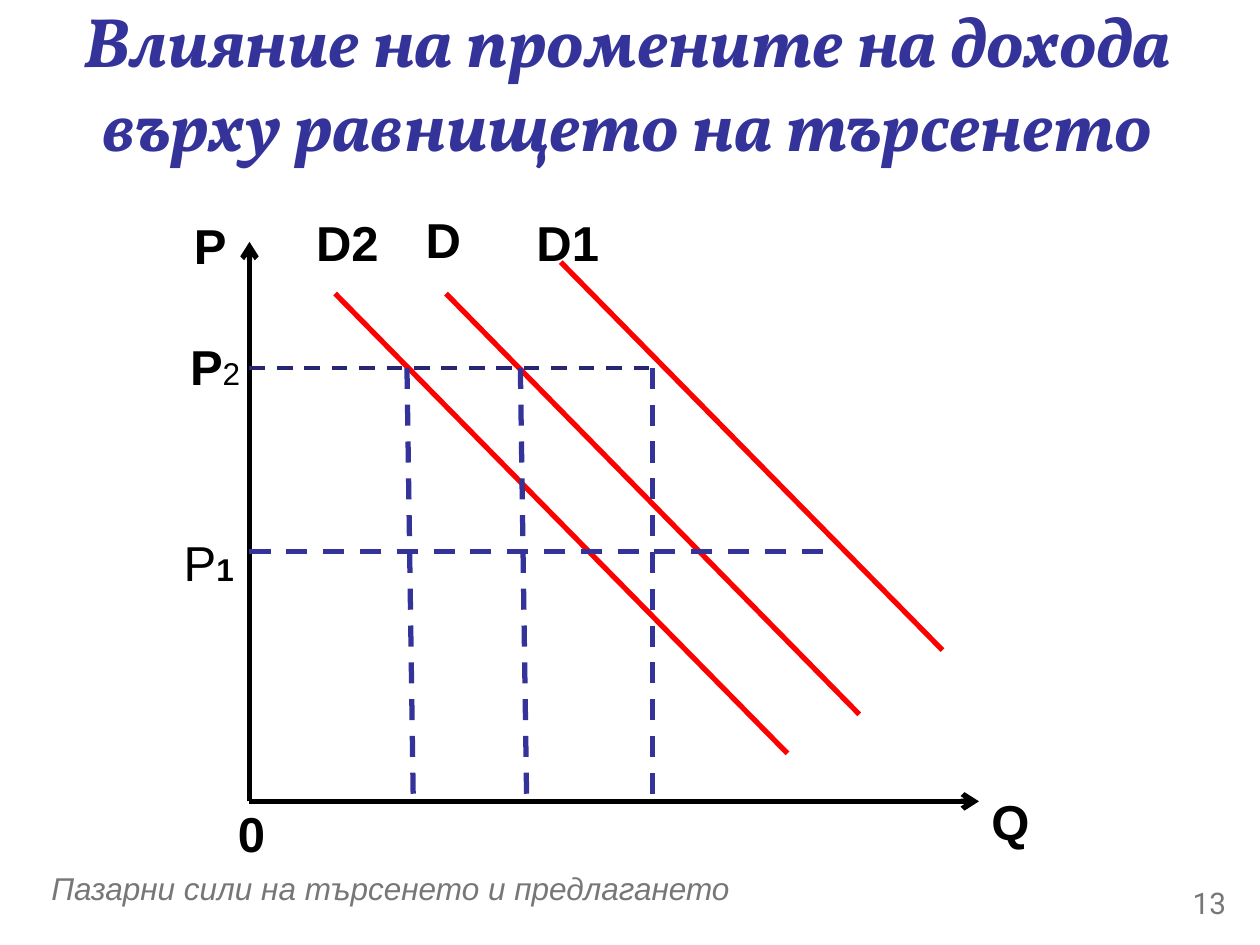
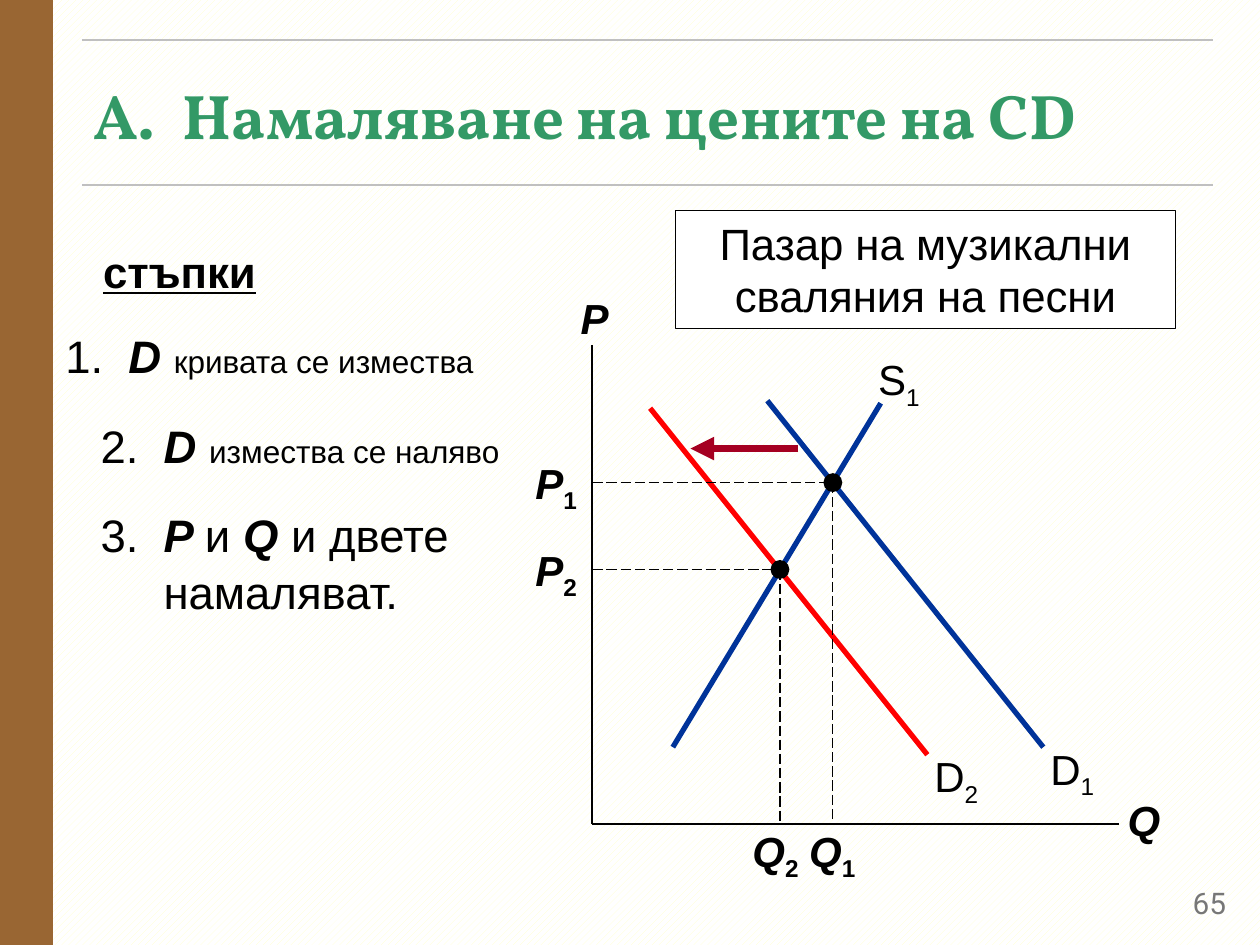
import pptx
import pptx.util
import pptx.dml.color
import pptx.enum.dml
import pptx.enum.shapes
import pptx.enum.text
from lxml import etree

Inches = pptx.util.Inches
Pt = pptx.util.Pt
ALIGN = pptx.enum.text.PP_ALIGN
DASH = pptx.enum.dml.MSO_LINE
SHAPE = pptx.enum.shapes.MSO_SHAPE
COLORS = {
    name: pptx.dml.color.RGBColor.from_string(value)
    for name, value in {
        "black": "000000", "white": "FFFFFF", "grey": "777777", "rule": "C0C0C0",
        "indigo": "333399", "dark indigo": "262673", "red": "FF0000",
        "green": "339966", "brown": "996633", "cream": "FFFFCC",
        "blue": "003399", "crimson": "A50021",
    }.items()
}
BOLD = {"bold": True}
PLAIN = {"bold": False, "italic": False}
STRONG = {"bold": True, "italic": True}
SUBSCRIPT = {"baseline": -25000}


def write(shape, runs, size, color="black", font="Arial", align=ALIGN.LEFT,
          middle=False, hang=0, inset=None, spacing=None, **style):
    """Fill a shape with one paragraph; runs are (text, own font settings) pairs."""
    frame = shape.text_frame
    frame.word_wrap = True
    frame.auto_size = pptx.enum.text.MSO_AUTO_SIZE.NONE
    anchors = pptx.enum.text.MSO_ANCHOR
    frame.vertical_anchor = anchors.MIDDLE if middle else anchors.TOP
    if inset is not None:
        frame.margin_left = frame.margin_right = Inches(inset)
        frame.margin_top = frame.margin_bottom = Inches(inset)
    paragraph = frame.paragraphs[0]
    paragraph.alignment = align
    if spacing:
        paragraph.line_spacing = spacing
    if hang:
        properties = paragraph._p.get_or_add_pPr()
        properties.set("marL", str(Inches(hang)))
        properties.set("indent", str(-Inches(hang)))
    paragraph.font.size = Pt(size)
    paragraph.font.name = font
    paragraph.font.color.rgb = COLORS[color]
    for key, value in style.items():
        setattr(paragraph.font, key, value)
    for text, own in runs:
        run = paragraph.add_run()
        run.text = text
        for key, value in own.items():
            if key == "baseline":
                run._r.get_or_add_rPr().set(key, str(value))
            else:
                setattr(run.font, key, value)


def draw_line(slide, start, end, color, width, dash=None, head=None):
    line = slide.shapes.add_connector(
        pptx.enum.shapes.MSO_CONNECTOR.STRAIGHT, *map(Inches, start + end))
    line.line.color.rgb = COLORS[color]
    line.line.width = Pt(width)
    if dash:
        line.line.dash_style = dash
    main = "{http://schemas.openxmlformats.org/drawingml/2006/main}"
    if head:
        etree.SubElement(line.line._get_or_add_ln(), main + "tailEnd", type=head)
    etree.SubElement(line._element.spPr, main + "effectLst")


deck = pptx.Presentation()
deck.slide_width, deck.slide_height = Inches(10), Inches(7.5)
title_only = deck.slide_layouts[5]
income, music = (deck.slides.add_slide(title_only) for _ in range(2))

titles = [
    (income, (0.38, 0.28, 9.2, 0.74),
     [("Влияние на промените на дохода върху равнището на търсенето", {})],
     {"size": 40, "color": "indigo", "align": ALIGN.CENTER, "italic": True}),
    (music, (0.64, 0.39, 8.98, 1.04),
     [("A.\tНамаляване на цените на CD", {})],
     {"size": 36, "color": "green", "hang": 0.71}),
]
for (slide, box, runs, style), number in zip(titles, ("13", "65")):
    title = slide.shapes.title
    title.left, title.top, title.width, title.height = map(Inches, box)
    write(title, runs, font="Vollkorn", middle=True, bold=True, **style)
    page = slide.shapes.add_textbox(*map(Inches, (9.08, 6.97, 0.75, 0.4)))
    write(page, [(number, {})], 17, "grey", "Roboto", ALIGN.RIGHT)

# Income and the level of demand
income.background.fill.solid()
income.background.fill.fore_color.rgb = COLORS["white"]
footer = income.shapes.add_textbox(*map(Inches, (0.31, 6.85, 8.02, 0.4)))
write(footer, [("Пазарни сили на търсенето и предлагането", {})], 18, "grey",
      middle=True, italic=True)

origin = (1.98, 6.36)
for axis_end in ((1.98, 1.92), (7.77, 6.36)):
    draw_line(income, origin, axis_end, "black", 3, head="arrow")
for start, end in (((3.54, 2.33), (6.82, 5.67)),
                   ((2.66, 2.33), (6.25, 5.98)),
                   ((4.45, 2.08), (7.48, 5.16))):
    draw_line(income, start, end, "red", 3)
high_price, low_price = 2.92, 4.38
draw_line(income, (origin[0], high_price), (5.18, high_price), "dark indigo", 2.25, DASH.DASH)
draw_line(income, (origin[0], low_price), (6.61, low_price), "indigo", 3, DASH.DASH)
for top_x, bottom_x in ((4.13, 4.18), (5.18, 5.18), (3.23, 3.28)):
    draw_line(income, (top_x, high_price), (bottom_x, origin[1]), "indigo", 3, DASH.DASH)

income_labels = [
    (3.28, 1.61, 0.61, [("D", BOLD)]),
    (4.16, 1.64, 1.43, [("D1", BOLD)]),
    (2.41, 1.64, 1.38, [("D2", BOLD)]),
    (1.44, 1.66, 0.87, [("P", BOLD)]),
    (1.79, 6.33, 0.98, [("0", BOLD)]),
    (1.36, 4.18, 0.7, [("P", {}), ("1", {"size": Pt(18), "bold": True})]),
    (1.41, 2.62, 0.78, [("P", BOLD), ("2", {"size": Pt(18)})]),
    (7.77, 6.23, 1.13, [("Q", BOLD)]),
]
for left, top, width, runs in income_labels:
    label = income.shapes.add_textbox(*map(Inches, (left, top, width, 0.57)))
    write(label, runs, 28)

# Market for music downloads
backdrop = music.background.fill
backdrop.patterned()
backdrop.pattern = pptx.enum.dml.MSO_PATTERN.WIDE_UPWARD_DIAGONAL
backdrop.fore_color.rgb = COLORS["cream"]
backdrop.back_color.rgb = COLORS["white"]
band = music.shapes.add_shape(SHAPE.RECTANGLE, 0, 0, Inches(0.42), deck.slide_height)
band.shadow.inherit = False
band.fill.solid()
band.fill.fore_color.rgb = COLORS["brown"]
band.line.fill.background()
for rule_y in (0.32, 1.47):
    draw_line(music, (0.65, rule_y), (9.63, rule_y), "rule", 1)

steps = [
    (0.72, 1.87, 1.51, 0.6, [("стъпки", {"size": Pt(25), "bold": True, "underline": True})]),
    (0.42, 2.53, 3.66, 0.6,
     [("1.\t", {}), ("D ", STRONG), ("кривата се измества", {"size": Pt(18)})]),
    (0.7, 3.25, 3.38, 0.6,
     [("2.\t", {}), ("D ", STRONG), ("измества се наляво", {"size": Pt(18)})]),
    (0.7, 3.95, 3.37, 1.05,
     [("3.\t", {}), ("P ", STRONG), ("и ", PLAIN), ("Q ", STRONG),
      ("и двете намаляват.", PLAIN)]),
]
for *box, runs in steps:
    step = music.shapes.add_textbox(*map(Inches, box))
    write(step, runs, 26, hang=0.5, spacing=1.05)

axis_x, axis_y = 4.7, 6.54
draw_line(music, (axis_x, 2.74), (axis_x, axis_y), "black", 1)
draw_line(music, (axis_x, axis_y), (8.88, axis_y), "black", 1)
for start, end, color in (((6.09, 3.18), (8.28, 5.93), "blue"),
                          ((5.34, 5.93), (6.99, 3.2), "blue"),
                          ((5.16, 3.24), (7.36, 5.99), "red")):
    draw_line(music, start, end, color, 3)
draw_line(music, (6.33, 3.56), (5.48, 3.56), "crimson", 4.5, head="triangle")

music_labels = [
    (4.49, 2.27, 0.46, [("P", STRONG)]),
    (8.83, 6.26, 0.5, [("Q", STRONG)]),
    (8.21, 5.85, 0.6, [("D", {}), ("1", SUBSCRIPT)]),
    (6.82, 2.76, 0.63, [("S", {}), ("1", SUBSCRIPT)]),
    (7.29, 5.91, 0.6, [("D", {}), ("2", SUBSCRIPT)]),
]
for left, top, width, runs in music_labels:
    label = music.shapes.add_textbox(*map(Inches, (left, top, width, 0.5)))
    write(label, runs, 24, align=ALIGN.CENTER)

dot_size = 0.15
for index, x, y, quantity_left in (("1", 6.61, 3.83, 6.34), ("2", 6.19, 4.52, 5.89)):
    draw_line(music, (axis_x, y), (x, y), "black", 0.75, DASH.LONG_DASH)
    draw_line(music, (x, y), (x, axis_y), "black", 0.75, DASH.LONG_DASH)
    dot = music.shapes.add_shape(SHAPE.OVAL, Inches(x - dot_size / 2), Inches(y - dot_size / 2),
                                 Inches(dot_size), Inches(dot_size))
    dot.shadow.inherit = False
    dot.fill.solid()
    dot.fill.fore_color.rgb = COLORS["black"]
    dot.line.fill.background()
    for letter, left, top in (("P", 4.15, y - 0.2), ("Q", quantity_left, 6.55)):
        label = music.shapes.add_textbox(*map(Inches, (left, top, 0.53, 0.4)))
        write(label, [(letter, {"italic": True}), ("1" if index == "1" else "2", SUBSCRIPT)],
              24, align=ALIGN.CENTER, inset=0, bold=True)

market = music.shapes.add_shape(SHAPE.RECTANGLE, *map(Inches, (5.36, 1.67, 3.97, 0.94)))
market.shadow.inherit = False
market.fill.solid()
market.fill.fore_color.rgb = COLORS["white"]
market.line.color.rgb = COLORS["black"]
market.line.width = Pt(0.75)
write(market, [("Пазар на музикални сваляния на песни", {})], 25, align=ALIGN.CENTER)

deck.save("out.pptx")
